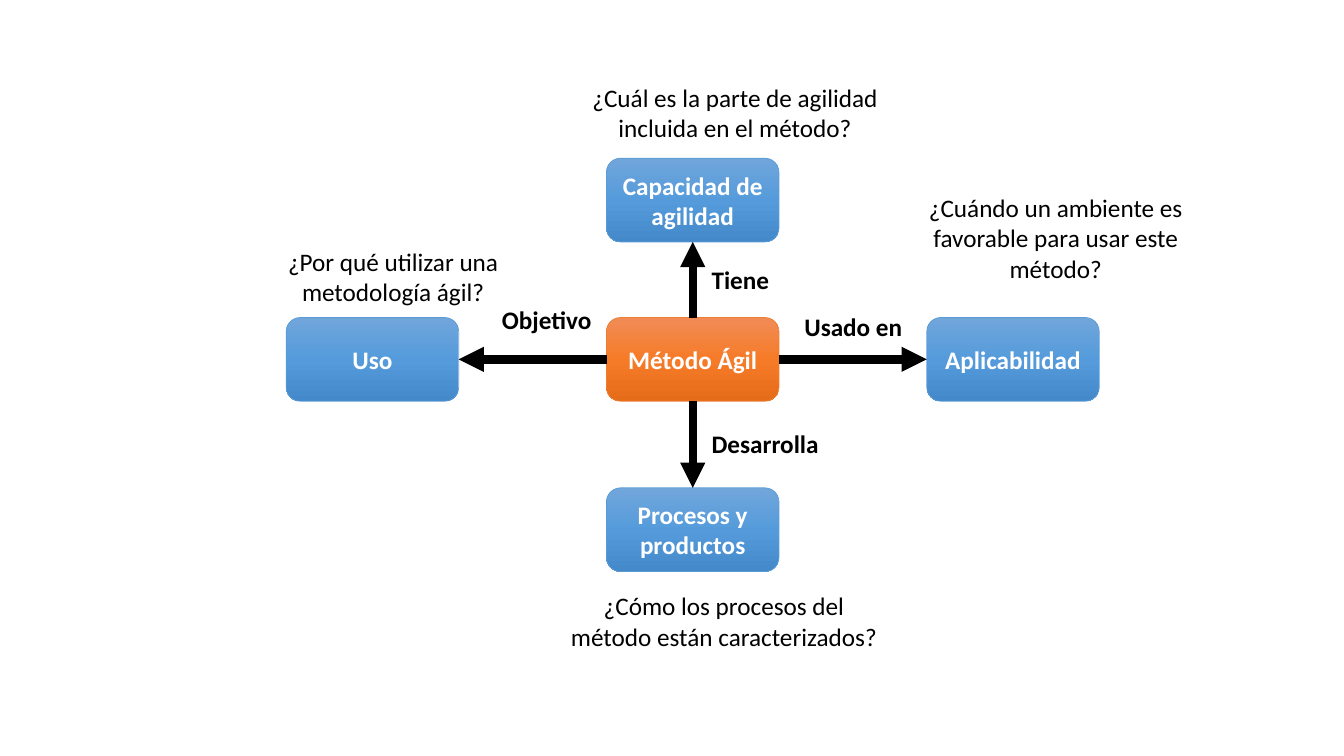
"""Draw the map of questions around an agile method."""
from copy import deepcopy
from dataclasses import dataclass

from lxml.etree import SubElement
from pptx import Presentation
from pptx.dml.color import RGBColor
from pptx.enum.shapes import MSO_CONNECTOR, MSO_SHAPE
from pptx.enum.text import MSO_ANCHOR, MSO_AUTO_SIZE, PP_ALIGN
from pptx.oxml.ns import qn
from pptx.shapes.autoshape import Shape
from pptx.slide import Slide
from pptx.text.text import TextFrame
from pptx.util import Inches, Pt

WIDTH, HEIGHT = Inches(13.33), Inches(7.5)
FIRST_COL, COL_PITCH = 21.3, 23.83
ROW_TOPS = (20.93, 42, 64.53)
BOX_W, BOX_H = 12.83, 11.07
TOP, LEFT, BOTTOM, RIGHT = range(4)


@dataclass(frozen=True)
class Palette:
    stops: tuple[str, str, str]
    line: str


@dataclass(frozen=True)
class Box:
    text: str
    col: int
    row: int
    palette: Palette


@dataclass(frozen=True)
class Note:
    text: str
    x: float
    y: float
    w: float
    lines: int = 1
    wrap: bool = True


@dataclass(frozen=True)
class Arrow:
    side: int
    target: str
    target_side: int


BLUE = Palette(("71A6DB", "559BDB", "448ACA"), "5B9BD5")
ORANGE = Palette(("F18C57", "F67B28", "E56C19"), "ED7D31")
CENTER = "Método Ágil"

BOXES = (
    Box("Capacidad de agilidad", 1, 0, BLUE),
    Box("Aplicabilidad", 2, 1, BLUE),
    Box("Procesos y productos", 1, 2, BLUE),
    Box("Uso", 0, 1, BLUE),
    Box(CENTER, 1, 1, ORANGE),
)
LABELS = (
    Note("Tiene", 52.21, 34.27, 5.78, wrap=False),
    Note("Usado en", 59.11, 40.53, 8.85, wrap=False),
    Note("Desarrolla", 52.21, 56, 9.53, wrap=False),
    Note("Objetivo", 36.61, 39.6, 9.23),
)
QUESTIONS = (
    Note("¿Por qué utilizar una metodología ágil?", 19.8, 31.87, 18.9, 2),
    Note("¿Cuál es la parte de agilidad incluida en el método?", 42.76, 10.27, 23.86, 2),
    Note("¿Cuándo un ambiente es favorable para usar este método?", 66.62, 24.8, 23.86, 3),
    Note("¿Cómo los procesos del método están caracterizados?", 41.19, 77.47, 25.36, 2),
)
ARROWS = (
    Arrow(LEFT, "Uso", RIGHT),
    Arrow(BOTTOM, "Procesos y productos", TOP),
    Arrow(TOP, "Capacidad de agilidad", BOTTOM),
    Arrow(RIGHT, "Aplicabilidad", LEFT),
)


def rgb(value: str) -> RGBColor:
    """Turn a hex string into a colour."""
    return RGBColor.from_string(value)


def frame(x: float, y: float, w: float, h: float) -> tuple[int, int, int, int]:
    """Turn percentages of the slide into lengths."""
    return (round(WIDTH * x / 100), round(HEIGHT * y / 100),
            round(WIDTH * w / 100), round(HEIGHT * h / 100))


def write(tf: TextFrame, text: str, color: str, bold: bool, align: PP_ALIGN) -> None:
    """Write one run of text into a frame."""
    p = tf.paragraphs[0]
    p.alignment = align
    r = p.add_run()
    r.text = text
    r.font.name = "Calibri"
    r.font.size = Pt(18)
    r.font.bold = bold
    r.font.color.rgb = rgb(color)


def paint(sp: Shape, palette: Palette) -> None:
    """Give a shape a downward three-stop gradient and a thin outline."""
    sp.fill.gradient()
    sp.fill.gradient_angle = 270
    stops = sp._element.spPr.find(".//" + qn("a:gsLst"))
    stops.insert(1, deepcopy(stops[0]))
    for i, (stop, color) in enumerate(zip(sp.fill.gradient_stops, palette.stops)):
        stop.position = i / 2
        stop.color.rgb = rgb(color)
    sp.line.color.rgb = rgb(palette.line)
    sp.line.width = Pt(0.5)
    sp.shadow.inherit = False


def draw_box(slide: Slide, box: Box) -> Shape:
    """Draw a rounded box in its grid cell."""
    x = FIRST_COL + COL_PITCH * box.col
    sp = slide.shapes.add_shape(MSO_SHAPE.ROUNDED_RECTANGLE,
                                *frame(x, ROW_TOPS[box.row], BOX_W, BOX_H))
    paint(sp, box.palette)
    tf = sp.text_frame
    tf.word_wrap = True
    tf.vertical_anchor = MSO_ANCHOR.MIDDLE
    write(tf, box.text, "FFFFFF", True, PP_ALIGN.CENTER)
    return sp


def draw_note(slide: Slide, note: Note, bold: bool, align: PP_ALIGN) -> None:
    """Draw a text box as tall as its lines need."""
    height = 1.33 + 4.05 * note.lines
    tf = slide.shapes.add_textbox(*frame(note.x, note.y, note.w, height)).text_frame
    tf.word_wrap = note.wrap
    tf.auto_size = MSO_AUTO_SIZE.SHAPE_TO_FIT_TEXT
    write(tf, note.text, "000000", bold, align)


def draw_arrow(slide: Slide, arrow: Arrow, shapes: dict[str, Shape]) -> None:
    """Connect the central box to a target with a thick arrow."""
    cxn = slide.shapes.add_connector(MSO_CONNECTOR.STRAIGHT, 0, 0, 0, 0)
    cxn.begin_connect(shapes[CENTER], arrow.side)
    cxn.end_connect(shapes[arrow.target], arrow.target_side)
    cxn.line.color.rgb = rgb("000000")
    cxn.line.width = Pt(6)
    SubElement(cxn.line._get_or_add_ln(), qn("a:tailEnd"), type="triangle")
    SubElement(cxn._element.spPr, qn("a:effectLst"))


def main() -> None:
    """Build the slide and save it."""
    prs = Presentation()
    prs.slide_width, prs.slide_height = WIDTH, HEIGHT
    slide = prs.slides.add_slide(prs.slide_layouts[6])
    shapes = {box.text: draw_box(slide, box) for box in BOXES}
    for label in LABELS:
        draw_note(slide, label, True, PP_ALIGN.LEFT)
    for question in QUESTIONS:
        draw_note(slide, question, False, PP_ALIGN.CENTER)
    for arrow in ARROWS:
        draw_arrow(slide, arrow, shapes)
    prs.save("out.pptx")


if __name__ == "__main__":
    main()
